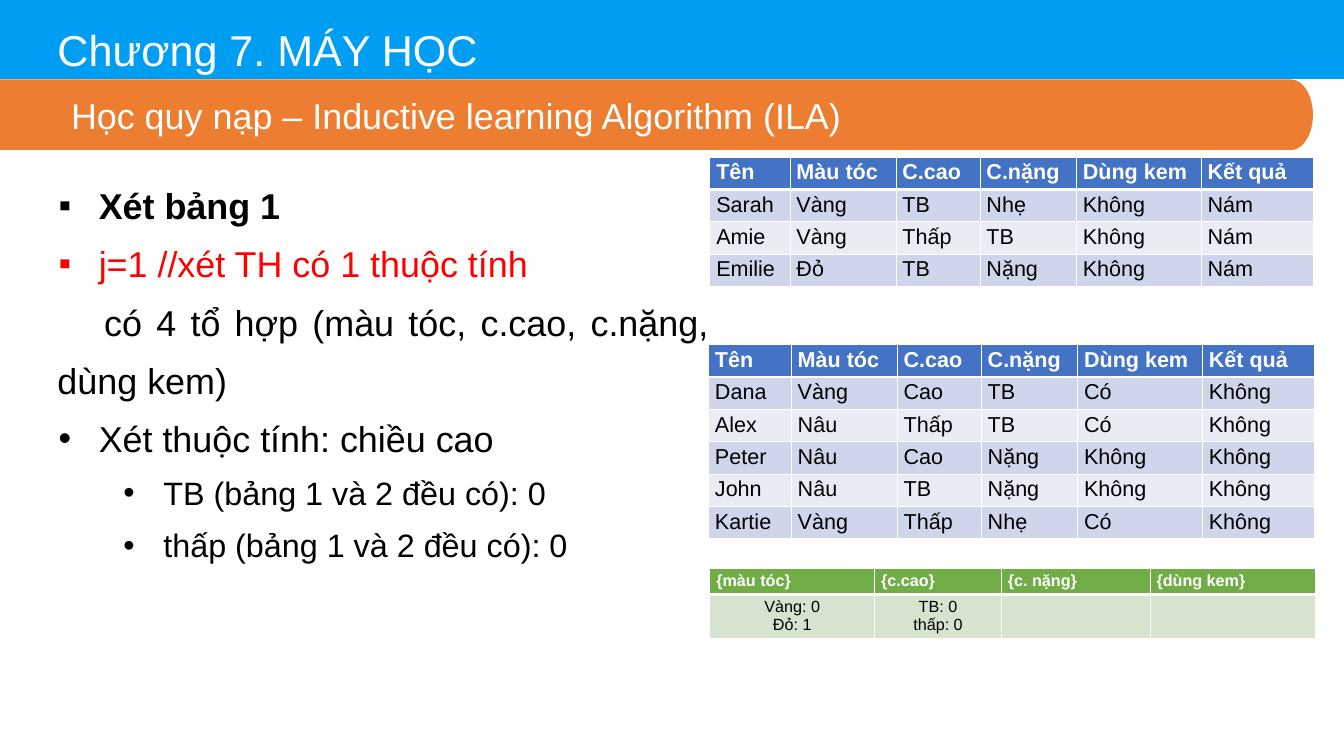
from math import cos, pi, sin
from lxml.etree import SubElement
from pptx import Presentation
from pptx.dml.color import RGBColor
from pptx.enum.shapes import MSO_SHAPE
from pptx.enum.text import MSO_ANCHOR, MSO_AUTO_SIZE, PP_ALIGN
from pptx.oxml.ns import qn
from pptx.util import Pt

WHITE = RGBColor(0xFF, 0xFF, 0xFF)
BLACK = RGBColor(0, 0, 0)
RED = RGBColor(0xFF, 0, 0)
SKY = RGBColor(0x00, 0x9E, 0xF3)
ORANGE = RGBColor(0xED, 0x7D, 0x31)
BLUE = RGBColor(0x44, 0x72, 0xC4)
BANDS = [RGBColor(0xCF, 0xD5, 0xEA), RGBColor(0xE9, 0xEB, 0xF5)]
GREEN = RGBColor(0x70, 0xAD, 0x47)
PALE = [RGBColor(0xD5, 0xE3, 0xCF)]

HEADS = ["Tên", "Màu tóc", "C.cao", "C.nặng", "Dùng kem", "Kết quả"]
BURNT = [
    HEADS,
    ["Sarah", "Vàng", "TB", "Nhẹ", "Không", "Nám"],
    ["Amie", "Vàng", "Thấp", "TB", "Không", "Nám"],
    ["Emilie", "Đỏ", "TB", "Nặng", "Không", "Nám"],
]
CLEAR = [
    HEADS,
    ["Dana", "Vàng", "Cao", "TB", "Có", "Không"],
    ["Alex", "Nâu", "Thấp", "TB", "Có", "Không"],
    ["Peter", "Nâu", "Cao", "Nặng", "Không", "Không"],
    ["John", "Nâu", "TB", "Nặng", "Không", "Không"],
    ["Kartie", "Vàng", "Thấp", "Nhẹ", "Có", "Không"],
]
COUNTS = [
    ["{màu tóc}", "{c.cao}", "{c. nặng}", "{dùng kem}"],
    ["Vàng: 0\nĐỏ: 1", "TB: 0\nthấp: 0", "", ""],
]
WIDTHS = [118, 93.6, 107.3, 139, 125.3]
POINTS = [
    ("Xét bảng 1", 40, BLACK, True, 46, -44.6, "▪"),
    ("j=1 //xét TH có 1 thuộc tính", 40, RED, False, 46, -44.6, "▪"),
    ("có 4 tổ hợp (màu tóc, c.cao, c.nặng, dùng kem)", 40, BLACK, False, 0, 52, None),
    ("Xét thuộc tính: chiều cao", 40, BLACK, False, 46, -44.6, "•"),
    ("TB (bảng 1 và 2 đều có): 0", 36, BLACK, False, 118, -44.6, "•"),
    ("thấp (bảng 1 và 2 đều có): 0", 36, BLACK, False, 118, -44.6, "•"),
]


def add_run(para, text, size, color, bold=False):
    """Add one styled run to a paragraph."""
    run = para.add_run()
    run.text = text
    font = run.font
    font.name, font.size, font.bold = "Arial", Pt(size), bold
    font.color.rgb = color


def indent(para, left, first, mark=None):
    """Set the indents and the bullet of a paragraph."""
    props = para._p.get_or_add_pPr()
    props.set("marL", str(Pt(left)))
    props.set("indent", str(Pt(first)))
    if mark:
        SubElement(props, qn("a:buFont")).set("typeface", "Arial")
        SubElement(props, qn("a:buChar")).set("char", mark)
    else:
        SubElement(props, qn("a:buNone"))


def paint(shape, color):
    """Give a shape a flat fill without line or shadow."""
    shape.shadow.inherit = False
    shape.fill.solid()
    shape.fill.fore_color.rgb = color
    shape.line.fill.background()


def set_frame(frame):
    """Wrap a text frame, anchor it at the top and drop its margins."""
    frame.word_wrap = True
    frame.auto_size = MSO_AUTO_SIZE.NONE
    frame.vertical_anchor = MSO_ANCHOR.TOP
    frame.margin_left = frame.margin_right = frame.margin_bottom = 0
    frame.margin_top = Pt(0.7)


def add_title(slide):
    """Fill the title placeholder and lay the blue bar behind it."""
    title = slide.shapes.title
    title.left, title.top, title.width, title.height = Pt(64), Pt(25.6), Pt(1350), Pt(59)
    set_frame(title.text_frame)
    para = title.text_frame.paragraphs[0]
    para.alignment = PP_ALIGN.LEFT
    add_run(para, "Chương 7. MÁY HỌC", 48, WHITE)
    bar = slide.shapes.add_shape(MSO_SHAPE.RECTANGLE, 0, 0, Pt(1496.88), Pt(87.84))
    paint(bar, SKY)
    title._element.addprevious(bar._element)


def add_banner(slide):
    """Draw the orange banner with its rounded right end."""
    top, edge, wide, high, steps = 88.5, 1437.8, 24.5, 39.25, 32
    turns = [pi * i / steps - pi / 2 for i in range(steps + 1)]
    curve = [(Pt(edge + wide * cos(t)), Pt(top + high + high * sin(t))) for t in turns]
    pen = slide.shapes.build_freeform(0, Pt(top))
    pen.add_line_segments(curve + [(0, Pt(top + 2 * high))], close=True)
    banner = pen.convert_to_shape()
    paint(banner, ORANGE)
    frame = banner.text_frame
    frame.word_wrap = True
    frame.vertical_anchor = MSO_ANCHOR.MIDDLE
    para = frame.paragraphs[0]
    para.alignment = PP_ALIGN.JUSTIFY
    indent(para, 72, 0)
    add_run(para, "Học quy nạp – Inductive learning Algorithm (ILA)", 40, WHITE)


def add_points(slide):
    """Write the bulleted steps on the left."""
    frame = slide.shapes.add_textbox(Pt(64), Pt(187.2), Pt(725), Pt(424)).text_frame
    set_frame(frame)
    for i, (text, size, color, bold, left, first, mark) in enumerate(POINTS):
        para = frame.add_paragraph() if i else frame.paragraphs[0]
        para.alignment = PP_ALIGN.JUSTIFY
        para.line_spacing = 1.35
        para.level = 1 if left > 72 else 0
        indent(para, left, first, mark)
        add_run(para, text, size, color, bold)


def add_edges(cell, row):
    """Draw white cell borders, thicker under the head row."""
    props = cell._tc.get_or_add_tcPr()
    thick = {"T": row == 1, "B": row == 0}
    for side in "LRTB":
        line = SubElement(props, qn(f"a:ln{side}"), w=str(Pt(3 if thick.get(side) else 1)))
        fill = SubElement(line, qn("a:solidFill"))
        SubElement(fill, qn("a:srgbClr"), val=str(WHITE))


def add_grid(slide, left, top, widths, heights, rows, size, head, bands, align):
    """Add a table with a coloured head row and banded body rows."""
    shape = slide.shapes.add_table(len(rows), len(widths), Pt(left), Pt(top),
                                   Pt(sum(widths)), Pt(sum(heights)))
    table = shape.table
    for col, width in zip(table.columns, widths):
        col.width = Pt(width)
    for r, texts in enumerate(rows):
        table.rows[r].height = Pt(heights[r])
        for c, text in enumerate(texts):
            cell = table.cell(r, c)
            add_edges(cell, r)
            cell.fill.solid()
            cell.fill.fore_color.rgb = bands[(r - 1) % len(bands)] if r else head
            for i, line in enumerate(text.split("\n") if text else []):
                frame = cell.text_frame
                para = frame.add_paragraph() if i else frame.paragraphs[0]
                para.alignment = align if r else PP_ALIGN.LEFT
                add_run(para, line, size, BLACK if r else WHITE, not r)


def main():
    """Build the slide and save it."""
    deck = Presentation()
    deck.slide_width, deck.slide_height = Pt(1496.88), Pt(841.68)
    slide = deck.slides.add_slide(deck.slide_layouts[5])
    add_title(slide)
    add_points(slide)
    add_banner(slide)
    for left, top, first, rows in [(790.6, 175, 89.3, BURNT), (789.1, 383.8, 92.2, CLEAR)]:
        add_grid(slide, left, top, [first] + WIDTHS, [36] * len(rows), rows, 24,
                 BLUE, BANDS, PP_ALIGN.LEFT)
    add_grid(slide, 790.6, 632.9, [183.6, 141.1, 165.6, 183.6], [29, 49], COUNTS, 18,
             GREEN, PALE, PP_ALIGN.CENTER)
    deck.save("out.pptx")


if __name__ == "__main__":
    main()
